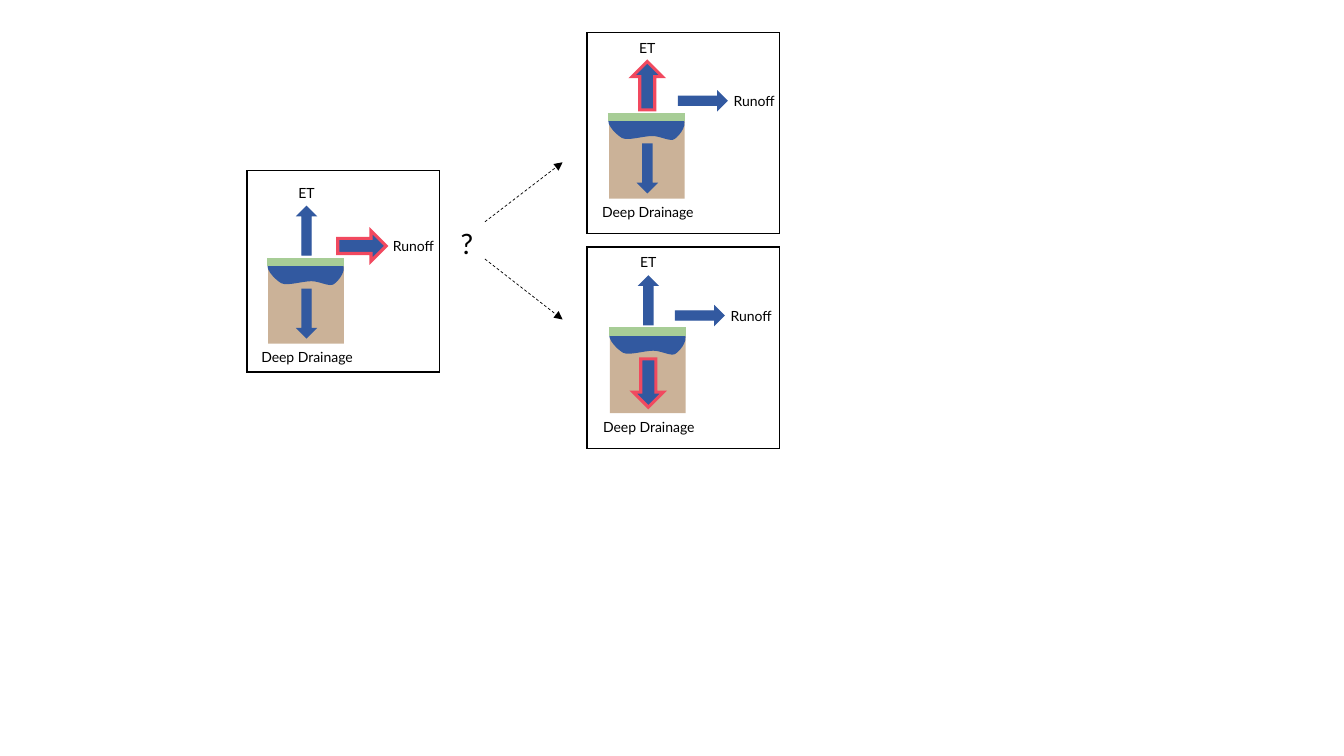
import pptx
import pptx.util
import pptx.dml.color
import pptx.enum.dml
import pptx.enum.shapes
import pptx.enum.text
import pptx.oxml
import pptx.oxml.ns
import lxml.etree

Inches, Pt, qn = pptx.util.Inches, pptx.util.Pt, pptx.oxml.ns.qn
SHAPES = pptx.enum.shapes.MSO_SHAPE
ALIGN = pptx.enum.text.PP_ALIGN

FONT = "Lato"
COLORS = {"black": "000000", "water": "3259A0", "highlight": "F1495F",
          "soil": "996633", "grass": "A7CD96"}

# Each panel: soil column corner, frame corner, runoff shift, highlighted flux
PANELS = [
    {"soil": (2.66, 2.6), "frame": (2.45, 1.69), "shift": 0, "highlight": "Runoff"},
    {"soil": (6.05, 3.29), "frame": (5.82, 2.45), "shift": -0.04, "highlight": "Deep Drainage"},
    {"soil": (6.04, 1.16), "frame": (5.82, 0.32), "shift": 0, "highlight": "ET"},
]

# Offsets from the soil corner: label corner, label width, arrow centre, rotation
FLUXES = {
    "ET": ((-0.05, -0.82), 0.86, (0.38, -0.31), 270),
    "Runoff": ((1.13, -0.29), 0.62, (0.93, -0.16), 0),
    "Deep Drainage": ((-0.57, 0.81), 1.91, (0.38, 0.51), 90),
}
SOIL_SIZE = (0.75, 0.81)
FRAME_SIZE = (1.91, 2)
LABEL_HEIGHT = 0.27
ARROW_LENGTH = 0.48

# Wetting front: its bounds and cubic curves, as offsets from the soil corner
WATER_BOUNDS = ((-0.01, -0.03), (0.75, 0.24))
WATER_START = (0.03, 0)
WATER_CURVES = [
    ((-0.07, 0.03), (0.06, 0.17), (0.13, 0.21)),
    ((0.19, 0.24), (0.34, 0.19), (0.43, 0.19)),
    ((0.51, 0.19), (0.61, 0.25), (0.65, 0.22)),
    ((0.7, 0.19), (0.81, 0.05), (0.71, 0)),
    ((0.61, -0.05), (0.13, -0.04), (0.03, 0)),
]

QUESTION = (" ?", (4.4, 2.2), (0.4, 0.44))
BRANCHES = [((4.81, 2.2), (5.58, 1.61)), ((4.81, 2.57), (5.58, 3.17))]


def rgb(name):
    """Return the named palette colour."""
    return pptx.dml.color.RGBColor.from_string(COLORS[name])


def add_label(slide, text, corner, size, points, alignment=ALIGN.CENTER):
    """Add a one-line label; centred ones fill their box."""
    box = slide.shapes.add_textbox(*map(Inches, corner + size))
    frame = box.text_frame
    frame.auto_size = pptx.enum.text.MSO_AUTO_SIZE.SHAPE_TO_FIT_TEXT
    frame.word_wrap = alignment == ALIGN.CENTER
    if frame.word_wrap:
        frame.margin_left = frame.margin_right = 0
    paragraph = frame.paragraphs[0]
    paragraph.alignment = alignment
    run = paragraph.add_run()
    run.text = text
    run.font.name = FONT
    run.font.size = Pt(points)
    run.font.color.rgb = rgb("black")


def style_shape(shape, fill=None, line=None, weight=1):
    """Set fill and sharp outline, with none where no colour is named."""
    shape.shadow.inherit = False
    if fill:
        shape.fill.solid()
        shape.fill.fore_color.rgb = rgb(fill)
    else:
        shape.fill.background()
    if line:
        shape.line.color.rgb = rgb(line)
        shape.line.width = Pt(weight)
        lxml.etree.SubElement(shape.line._get_or_add_ln(), qn("a:miter"), lim="800000")
    else:
        shape.line.fill.background()


def add_preset(slide, kind, corner, size, **style):
    """Add a styled preset shape."""
    shape = slide.shapes.add_shape(kind, *map(Inches, corner + size))
    style_shape(shape, **style)
    return shape


def add_line(slide, start, end, color, weight):
    """Add a straight connector without a shadow."""
    line = slide.shapes.add_connector(pptx.enum.shapes.MSO_CONNECTOR.STRAIGHT,
                                      *map(Inches, start + end))
    line.line.color.rgb = rgb(color)
    line.line.width = Pt(weight)
    lxml.etree.SubElement(line._element.spPr, qn("a:effectLst"))
    return line


def add_water(slide, x, y):
    """Draw the wetting front: a freeform of its bounds, given curved edges."""
    (left, top), (right, bottom) = WATER_BOUNDS
    builder = slide.shapes.build_freeform(Inches(x + left), Inches(y + top))
    builder.add_line_segments([(Inches(x + right), Inches(y + bottom))], close=True)
    water = builder.convert_to_shape()
    style_shape(water, fill="water")

    outline = water._element.spPr.find(".//" + qn("a:path"))
    for segment in list(outline):
        outline.remove(segment)
    segments = [("a:moveTo", [WATER_START])]
    segments += [("a:cubicBezTo", curve) for curve in WATER_CURVES]
    for tag, points in segments + [("a:close", [])]:
        segment = lxml.etree.SubElement(outline, qn(tag))
        for dx, dy in points:
            lxml.etree.SubElement(segment, qn("a:pt"), x=str(int(Inches(dx - left))),
                                  y=str(int(Inches(dy - top))))


def add_panel(slide, panel):
    """Draw one water balance panel with its highlighted flux."""
    x, y = panel["soil"]
    soil = add_preset(slide, SHAPES.RECTANGLE, (x, y), SOIL_SIZE, fill="soil")
    color = soil._element.spPr.find(".//" + qn("a:srgbClr"))
    lxml.etree.SubElement(color, qn("a:alpha"), val="50000")
    add_water(slide, x, y)
    add_line(slide, (x - 0.01, y), (x + 0.75, y), "grass", 6)

    for name, (label, width, center, rotation) in FLUXES.items():
        shift = panel["shift"] if name == "Runoff" else 0
        add_label(slide, name, (x + label[0] + shift, y + label[1]),
                  (width, LABEL_HEIGHT), 10)
        marked = name == panel["highlight"]
        height = 0.3 if marked else 0.18
        corner = (x + center[0] + shift - ARROW_LENGTH / 2, y + center[1] - height / 2)
        arrow = add_preset(slide, SHAPES.RIGHT_ARROW, corner, (ARROW_LENGTH, height),
                           fill="water", line="highlight" if marked else "water",
                           weight=2.25 if marked else 1)
        arrow.rotation = rotation
    add_preset(slide, SHAPES.RECTANGLE, panel["frame"], FRAME_SIZE, line="black")


def add_branch(slide, start, end):
    """Add a dashed arrow to a possible outcome."""
    branch = add_line(slide, start, end, "black", 0.5)
    branch.line.dash_style = pptx.enum.dml.MSO_LINE.DASH
    lxml.etree.SubElement(branch.line._get_or_add_ln(), qn("a:tailEnd"), type="triangle")


presentation = pptx.Presentation()
presentation.slide_width = Inches(13.33)
presentation.slide_height = Inches(7.5)
slide = presentation.slides.add_slide(presentation.slide_layouts[6])

for panel in PANELS:
    add_panel(slide, panel)
add_label(slide, *QUESTION, 20, ALIGN.LEFT)
for start, end in BRANCHES:
    add_branch(slide, start, end)

presentation.save("out.pptx")
